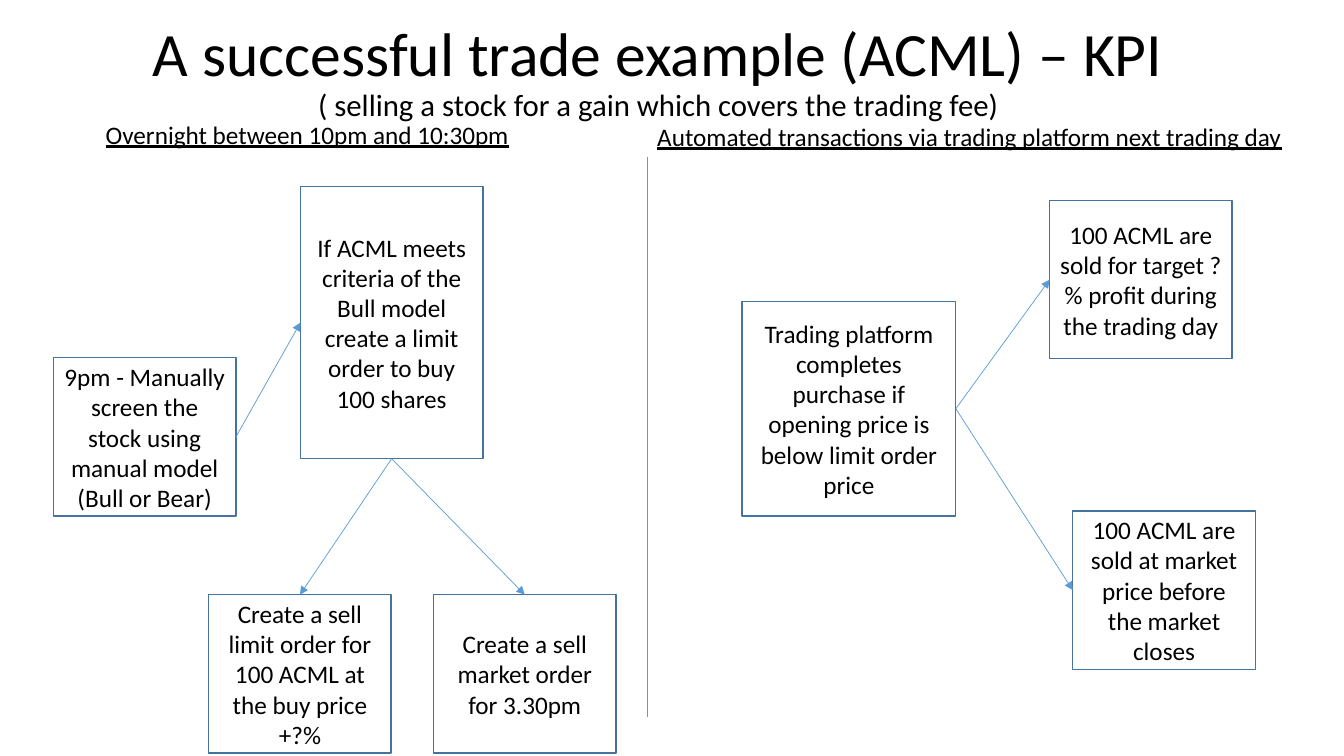
from dataclasses import dataclass

from lxml.etree import SubElement
from pptx import Presentation
from pptx.dml.color import RGBColor
from pptx.enum.shapes import MSO_CONNECTOR as Link, MSO_SHAPE as Form
from pptx.enum.text import MSO_ANCHOR as Anchor, PP_ALIGN as Align
from pptx.oxml.ns import qn
from pptx.shapes.autoshape import Shape
from pptx.shapes.connector import Connector
from pptx.slide import Slide
from pptx.text.text import _Paragraph as Para
from pptx.util import Emu, Pt

SCALE = 9144
FONT = "Calibri"
BLACK = RGBColor(0x00, 0x00, 0x00)
EDGE = RGBColor(0x43, 0x73, 0x9E)
BLUE = RGBColor(0x5B, 0x9B, 0xD5)
TOP, LEFT, BASE = 0, 1, 2
RIGHT = 3


@dataclass(frozen=True)
class Step:
    key: str
    text: str
    x: int
    y: int
    w: int = 181
    h: int = 157


@dataclass(frozen=True)
class Arrow:
    start: str
    out: int
    end: str
    into: int


@dataclass(frozen=True)
class Label:
    text: str
    x: int
    y: int
    w: int


STEPS = [
    Step("screen", "9pm - Manually screen the stock using manual model (Bull or Bear)", 53, 355),
    Step("order", "If ACML meets criteria of the Bull model create a limit order to buy 100 shares", 298, 185, h=270),
    Step("buy", "Trading platform completes purchase if opening price is below limit order price", 736, 299, 212, 213),
    Step("limit", "Create a sell limit order for 100 ACML at the buy price +?%", 207, 590),
    Step("market", "Create a sell market order for 3.30pm", 430, 590),
    Step("target", "100 ACML are sold for target ?% profit during the trading day", 1041, 199),
    Step("close", "100 ACML are sold at market price before the market closes", 1064, 507),
]
ARROWS = [
    Arrow("screen", RIGHT, "order", LEFT),
    Arrow("order", BASE, "limit", TOP),
    Arrow("order", BASE, "market", TOP),
    Arrow("buy", RIGHT, "target", LEFT),
    Arrow("buy", RIGHT, "close", LEFT),
]
LABELS = [
    Label("Overnight between 10pm and 10:30pm", 95, 113, 463),
    Label("Automated transactions via trading platform next trading day", 642, 115, 725),
]


def px(n: int) -> Emu:
    return Emu(n * SCALE)


def style(para: Para, size: int = 18) -> None:
    para.font.name = FONT
    para.font.size = Pt(size)
    para.font.color.rgb = BLACK


def add_title(slide: Slide) -> None:
    box = slide.shapes.add_textbox(px(0), px(0), px(1306), px(145))
    frame = box.text_frame
    frame.word_wrap = True
    frame.vertical_anchor = Anchor.MIDDLE
    para = frame.paragraphs[0]
    para.alignment = Align.CENTER
    para.line_spacing = 0.9
    style(para, 44)
    para.add_run().text = "A successful trade example (ACML) – KPI"
    para.add_line_break()
    sub = para.add_run()
    sub.text = "( selling a stock for a gain which covers the trading fee)"
    sub.font.size = Pt(22)


def add_step(slide: Slide, step: Step) -> Shape:
    box = slide.shapes.add_shape(Form.RECTANGLE, px(step.x), px(step.y), px(step.w), px(step.h))
    box.shadow.inherit = False
    box.fill.background()
    box.line.color.rgb = EDGE
    box.line.width = Pt(1)
    frame = box.text_frame
    frame.word_wrap = True
    frame.vertical_anchor = Anchor.MIDDLE
    para = frame.paragraphs[0]
    para.text = step.text
    para.alignment = Align.CENTER
    style(para)
    return box


def add_label(slide: Slide, label: Label) -> None:
    box = slide.shapes.add_textbox(px(label.x), px(label.y), px(label.w), px(40))
    box.text_frame.word_wrap = True
    para = box.text_frame.paragraphs[0]
    para.text = label.text
    style(para)
    para.font.underline = True


def add_line(slide: Slide, x: int, top: int, base: int) -> Connector:
    line = slide.shapes.add_connector(Link.STRAIGHT, px(x), px(top), px(x), px(base))
    line.line.color.rgb = BLUE
    line.line.width = Pt(0.5)
    SubElement(line._element.spPr, qn("a:effectLst"))
    return line


def add_arrow(slide: Slide, arrow: Arrow, boxes: dict[str, Shape]) -> None:
    line = add_line(slide, 0, 0, 0)
    line.begin_connect(boxes[arrow.start], arrow.out)
    line.end_connect(boxes[arrow.end], arrow.into)
    SubElement(line.line._get_or_add_ln(), qn("a:tailEnd"), type="triangle")


def main() -> None:
    deck = Presentation()
    deck.slide_width, deck.slide_height = px(1333), px(750)
    slide = deck.slides.add_slide(deck.slide_layouts[6])
    add_title(slide)
    boxes = {step.key: add_step(slide, step) for step in STEPS}
    for arrow in ARROWS:
        add_arrow(slide, arrow, boxes)
    add_line(slide, 642, 156, 711)
    for label in LABELS:
        add_label(slide, label)
    deck.save("out.pptx")


if __name__ == "__main__":
    main()
